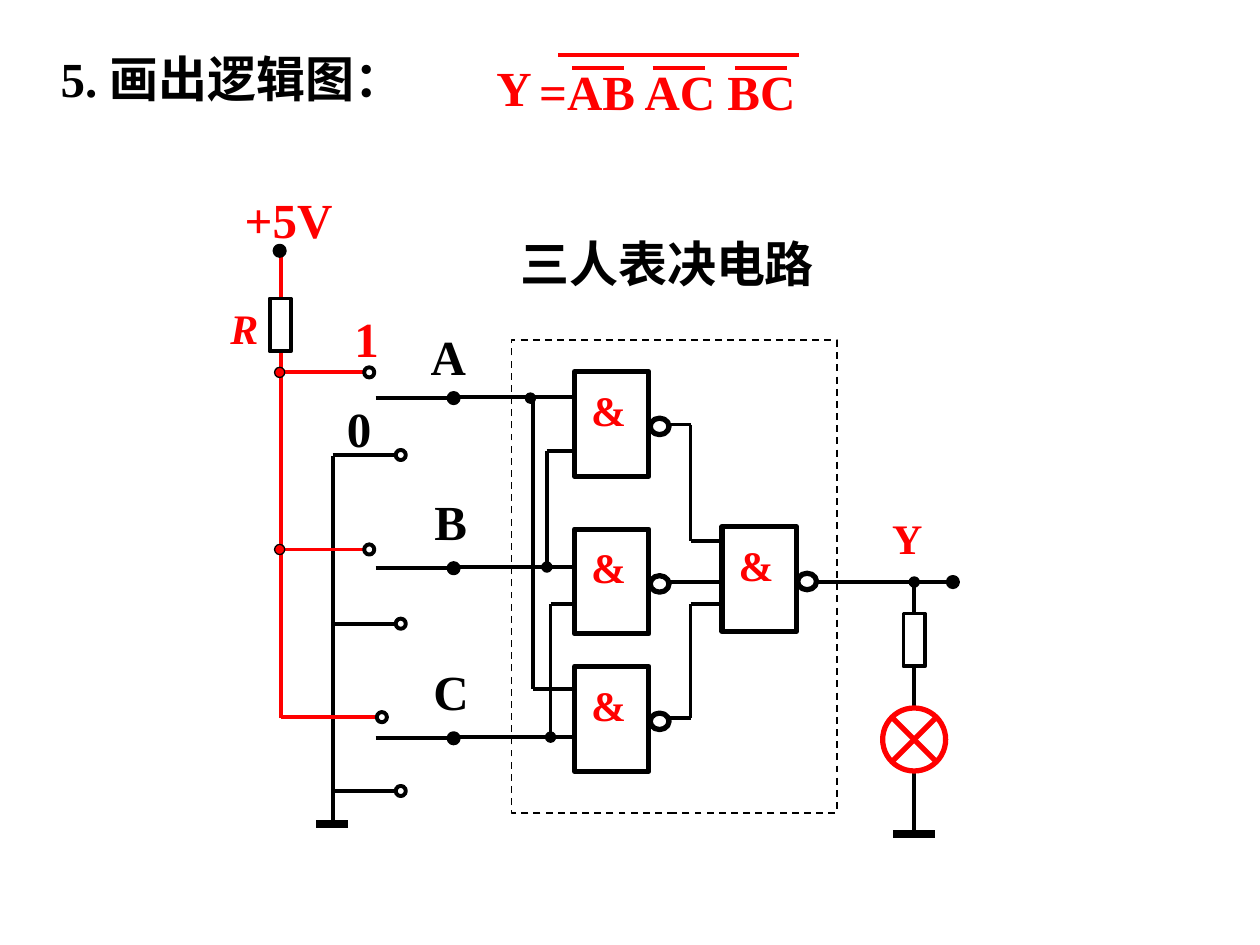
from dataclasses import dataclass

from lxml import etree
from pptx import Presentation
from pptx import util as u
from pptx.dml.color import RGBColor
from pptx.enum import dml, shapes, text
from pptx.oxml import ns

HUES = {"ink": "000000", "red": "FF0000", "white": "FFFFFF"}
LATIN = "Times New Roman"
HAN = "Noto Sans CJK SC"
KIND = shapes.MSO_SHAPE


@dataclass
class Wire:
    x1: float
    y1: float
    x2: float
    y2: float
    hue: str = "ink"
    wide: float = 2.25


@dataclass
class Part:
    left: float
    top: float
    wide: float
    high: float
    kind: int = KIND.RECTANGLE
    fill: str = ""
    hue: str = "ink"
    line: float = 2.25
    dash: bool = False


@dataclass
class Label:
    words: str
    left: float
    top: float
    wide: float
    high: float = 41
    hue: str = "ink"
    size: float = 28
    slant: bool = False
    wrap: bool = False
    side: int = text.PP_ALIGN.CENTER
    hold: int = text.MSO_ANCHOR.MIDDLE


def tint(name: str) -> RGBColor:
    return RGBColor.from_string(HUES[name])


def add_run(para, words: str, size: float, hue: str, face: str = LATIN, slant: bool = False) -> None:
    run = para.add_run()
    run.text = words
    font = run.font
    font.name, font.size, font.bold = face, u.Pt(size), True
    if slant:
        font.italic = True
    font.color.rgb = tint(hue)
    east = etree.SubElement(run._r.get_or_add_rPr(), ns.qn("a:ea"))
    east.set("typeface", HAN)


def draw_wire(slide, wire: Wire) -> None:
    ends = [u.Pt(n) for n in (wire.x1, wire.y1, wire.x2, wire.y2)]
    link = slide.shapes.add_connector(shapes.MSO_CONNECTOR.STRAIGHT, *ends)
    link.line.color.rgb = tint(wire.hue)
    link.line.width = u.Pt(wire.wide)
    etree.SubElement(link._element.spPr, ns.qn("a:effectLst"))


def draw_part(slide, part: Part) -> None:
    box = [u.Pt(n) for n in (part.left, part.top, part.wide, part.high)]
    shape = slide.shapes.add_shape(part.kind, *box)
    shape.shadow.inherit = False
    if part.fill:
        shape.fill.solid()
        shape.fill.fore_color.rgb = tint(part.fill)
    else:
        shape.fill.background()
    shape.line.color.rgb = tint(part.hue)
    shape.line.width = u.Pt(part.line)
    if part.dash:
        shape.line.dash_style = dml.MSO_LINE.DASH


def draw_label(slide, label: Label) -> None:
    box = [u.Pt(n) for n in (label.left, label.top, label.wide, label.high)]
    frame = slide.shapes.add_textbox(*box).text_frame
    frame.word_wrap = label.wrap
    frame.auto_size = text.MSO_AUTO_SIZE.SHAPE_TO_FIT_TEXT
    frame.vertical_anchor = label.hold
    para = frame.paragraphs[0]
    para.alignment = label.side
    add_run(para, label.words, label.size, label.hue, slant=label.slant)


def draw_dot(slide, x: float, y: float, fill: str = "", line: float = 2.25) -> None:
    draw_part(slide, Part(x - 2.9, y - 2.9, 5.8, 5.8, KIND.OVAL, fill, line=line))


def draw_gate(slide, left: float, top: float) -> None:
    draw_part(slide, Part(left, top, 42.5, 59.8, line=3))
    draw_part(slide, Part(left + 43.2, top + 26.6, 10.8, 9.4, KIND.OVAL, line=3))
    draw_label(slide, Label("&", left + 2.2, top + 3.6, 34.6, 36, "red", 24))


def draw_path(slide, *spots: tuple[float, float]) -> None:
    for start, end in zip(spots, spots[1:]):
        draw_wire(slide, Wire(*start, *end))


def add_title(slide) -> None:
    title = slide.shapes.title
    title.left, title.top = u.Pt(27.4), u.Pt(21.6)
    title.width, title.height = u.Pt(215.3), u.Pt(46.1)
    frame = title.text_frame
    frame.word_wrap = True
    frame.auto_size = text.MSO_AUTO_SIZE.NONE
    frame.vertical_anchor = text.MSO_ANCHOR.MIDDLE
    para = frame.paragraphs[0]
    para.alignment = text.PP_ALIGN.LEFT
    add_run(para, "5. ", 28, "ink")
    add_run(para, "画出逻辑图：", 28, "ink", HAN)


def add_rule(slide) -> None:
    flush = dict(hue="red", wrap=True, side=text.PP_ALIGN.LEFT, hold=text.MSO_ANCHOR.TOP)
    draw_label(slide, Label("=AB AC BC", 301, 31.7, 198, **flush))
    draw_label(slide, Label("Y", 276.5, 29.5, 59, **flush))
    for left in (326.9, 373, 420):
        draw_wire(slide, Wire(left, 38.9, left + 29.8, 38.9, "red"))
    draw_wire(slide, Wire(319, 31.5, 456.3, 31.5, "red"))


def add_inputs(slide) -> None:
    rail, bus = 160.6, 190.1
    draw_wire(slide, Wire(bus, 260.6, bus, 470.9))
    draw_wire(slide, Wire(180.7, 470.9, 198.7, 470.9, wide=4.5))
    draw_wire(slide, Wire(rail, 146.9, rail, 410.4, "red"))
    draw_part(slide, Part(154.1, 170.6, 12.2, 30.2, fill="white"))
    draw_dot(slide, 159.8, 143.3, "ink")

    highs = [(211, 212.8), (211, 314), (218.2, 409.8)]
    lows = [260, 356.4, 452]
    names = [("A", 239, 182.9), ("B", 240.5, 277.2), ("C", 240.5, 374.4)]
    for row, ((x, high), low, (name, left, top)) in enumerate(zip(highs, lows, names)):
        y = 226.8 + 97.2 * row
        draw_wire(slide, Wire(rail, high, x - 2.9, high, "red"))
        draw_wire(slide, Wire(bus, low, 226.1, low))
        draw_wire(slide, Wire(214.6, y + 0.7, 256.3, y + 0.7))
        draw_path(slide, (262.1, y), (292.3, y), (328.3, y))
        draw_dot(slide, x, high)
        draw_dot(slide, 229, low)
        draw_dot(slide, 259.2, y + 0.7, "ink")
        draw_label(slide, Label(name, left, top, 34))
    for x, y in highs[:2]:
        draw_dot(slide, 159.8, y, "red", 0.75)

    draw_label(slide, Label("+5V", 132.5, 104.4, 64.8, hue="red"))
    draw_label(slide, Label("1", 195.1, 172.8, 28.8, hue="red"))
    draw_label(slide, Label("0", 190.8, 223.9, 28.8))
    draw_label(slide, Label("R", 124.6, 169.2, 30.2, 36, "red", 24, True,
                            side=text.PP_ALIGN.LEFT, hold=text.MSO_ANCHOR.TOP))


def add_logic(slide) -> None:
    draw_part(slide, Part(292.3, 194.4, 185.8, 270, line=1, dash=True))
    draw_label(slide, Label("三人表决电路", 289.4, 129.6, 183.6))
    draw_path(slide, (312.5, 324), (312.5, 257.8), (329.8, 257.8))
    draw_path(slide, (314.6, 421.2), (314.6, 344.9), (328.3, 344.9))
    draw_path(slide, (304.6, 226.8), (304.6, 393.8), (328.3, 393.8))
    draw_path(slide, (382.3, 242.6), (394.6, 242.6), (394.6, 308.9), (412.6, 308.9))
    draw_path(slide, (382.3, 332.6), (412.6, 332.6))
    draw_path(slide, (382.3, 410.4), (394.6, 410.4), (394.6, 344.9), (412.6, 344.9))
    for spot in [(328.3, 212.4), (328.3, 302.4), (328.3, 380.9), (412.6, 301)]:
        draw_gate(slide, *spot)
    for x, y in [(303.1, 227.5), (312.5, 324), (314.6, 421.2)]:
        draw_dot(slide, x, y, "ink", 0.75)


def add_output(slide) -> None:
    x, y = 522.4, 332.6
    draw_wire(slide, Wire(466, y, 543, y))
    draw_wire(slide, Wire(x, y, x, 476.6))
    draw_wire(slide, Wire(x - 12, 476.6, x + 12, 476.6, wide=4.5))
    draw_part(slide, Part(x - 6.1, 350.6, 12.2, 30.2, fill="white"))
    draw_part(slide, Part(x - 18, 404.6, 36, 36, KIND.FLOWCHART_SUMMING_JUNCTION, "white", "red", 3))
    draw_dot(slide, x, y, "ink", 0.75)
    draw_dot(slide, 544.5, y, "ink")
    draw_label(slide, Label("Y", 502.6, 289.4, 31.7, 36, "red", 24))


def main() -> None:
    deck = Presentation()
    deck.slide_width, deck.slide_height = u.Pt(720), u.Pt(540)
    slide = deck.slides.add_slide(deck.slide_layouts[5])
    for build in (add_title, add_inputs, add_logic, add_output, add_rule):
        build(slide)
    deck.save("out.pptx")


if __name__ == "__main__":
    main()
